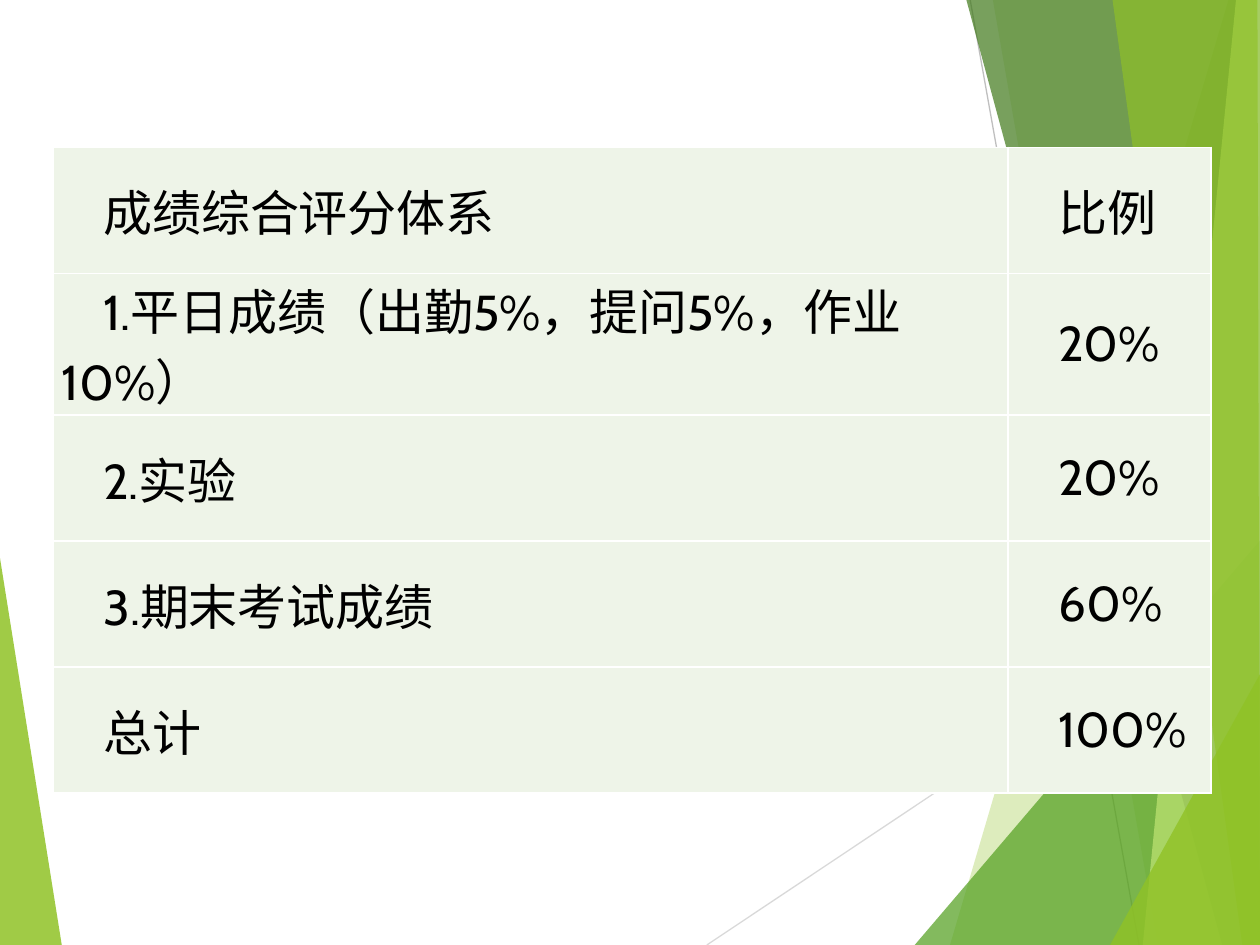
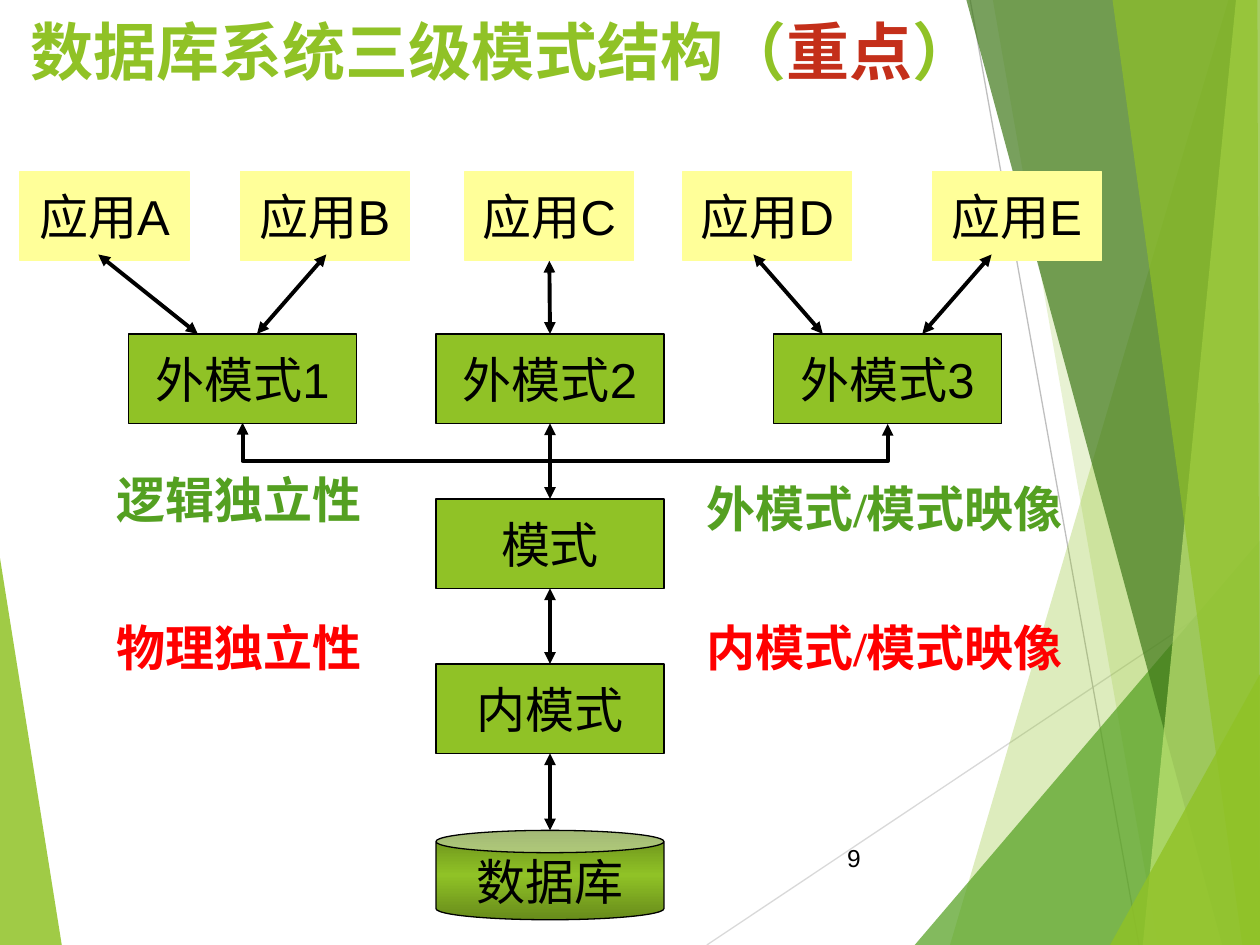
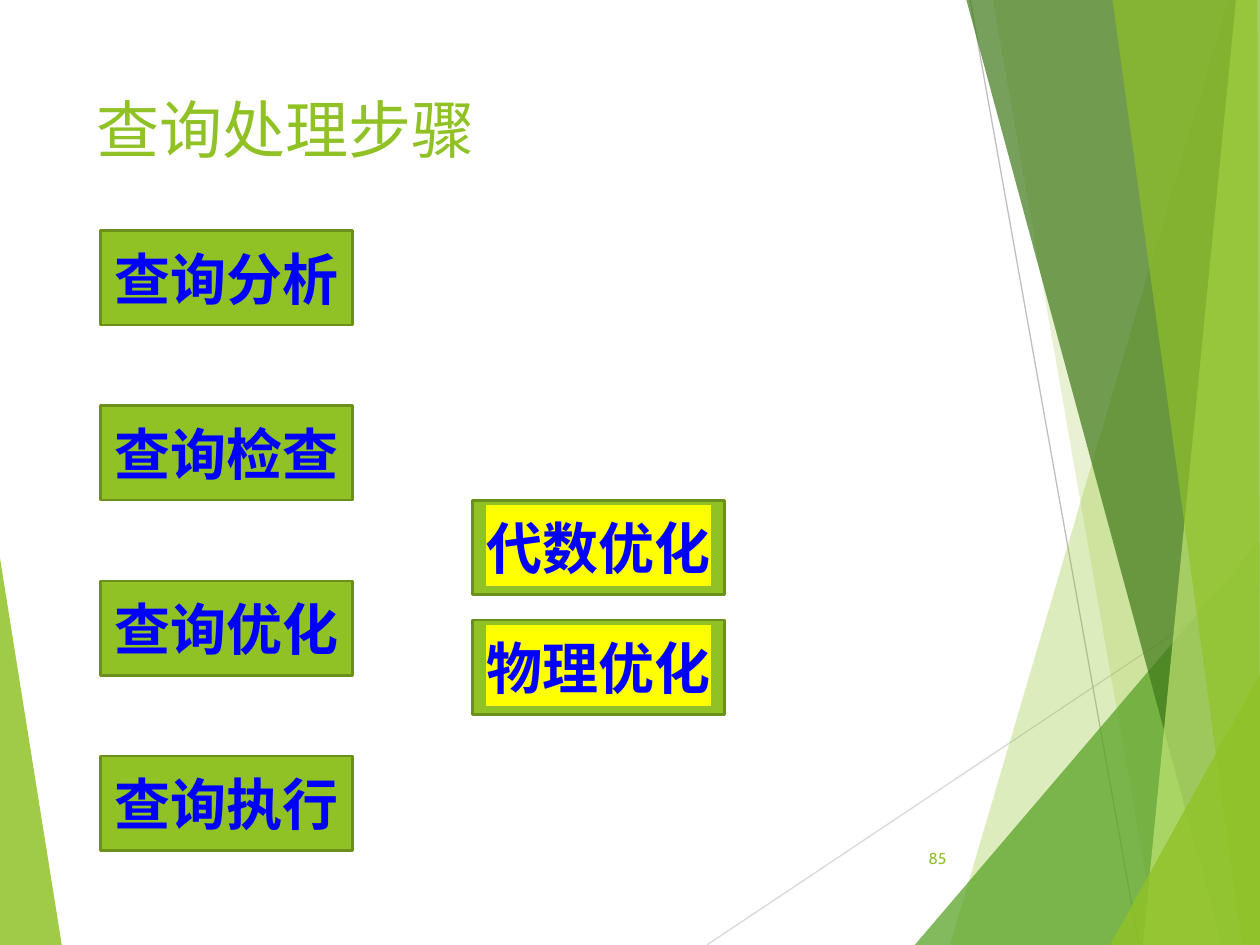
from copy import deepcopy
from lxml.etree import SubElement
from pptx import Presentation
from pptx.dml.color import RGBColor
from pptx.enum.shapes import MSO_CONNECTOR, MSO_SHAPE
from pptx.enum.text import MSO_ANCHOR, PP_ALIGN
from pptx.oxml import parse_xml
from pptx.oxml.ns import nsdecls, qn
from pptx.util import Inches, Pt

# Shared look
HEX = {
    "green": "90C226", "leaf": "54A021", "pine": "3F7819", "lime": "C0E474",
    "moss": "678B1B", "edge": "6B901C", "cell": "EEF4E8", "pale": "FFFF99",
    "mark": "FFFF00", "rust": "C42F1A", "red": "FF0000", "blue": "0000FF",
    "black": "000000", "white": "FFFFFF", "gray": "BFBFBF", "mist": "D9D9D9",
}
RAYS = [((5.61, 7.5), (10, 4.57), "mist"), ((7.7, 0), (9.04, 7.5), "gray")]
LEFT = ("green", 85, [(0, 4.43), (0.49, 7.5), (0, 7.5)])
BANDS = [  # colour, opacity in percent, outline
    ("green", 30, [(9.75, 0), (7.54, 7.5), (10, 7.5), (10, 0)]),
    ("green", 20, [(7.88, 0), (9.19, 7.5), (10, 7.5), (10, 0)]),
    ("leaf", 72, [(7.26, 7.5), (10, 4.29), (10, 7.5)]),
    ("pine", 70, [(7.67, 0), (9.7, 7.5), (10, 7.5), (10, 0)]),
    ("lime", 70, [(9.81, 0), (9.07, 7.5), (10, 7.5), (10, 0)]),
    ("green", 65, [(8.83, 0), (9.86, 7.5), (10, 7.5), (9.98, 0)]),
    ("green", 80, [(8.81, 7.5), (10, 5.35), (10, 7.5)]),
]

# Slide 1: grading
GRADES = [
    ("成绩综合评分体系", "比例"),
    ("1.平日成绩（出勤5%，提问5%，作业10%）", "20%"),
    ("2.实验", "20%"),
    ("3.期末考试成绩", "60%"),
    ("总计", "100%"),
]
COLS = [7.58, 1.61]

# Slide 2: three-level schema
HEAD = [("数据库系统三级模式结构（", "green"), ("重点", "rust"), ("）", "green")]
APPS = [("应用A", 0.16), ("应用B", 1.91), ("应用C", 3.69), ("应用D", 5.42), ("应用E", 7.4)]
VIEWS = [("外模式1", 1.02), ("外模式2", 3.46), ("外模式3", 6.14)]
CORE = [("模式", 3.96), ("内模式", 5.27)]
SLANTS = [(0.78, 1.57), (2.59, 2.04), (5.98, 6.53), (7.87, 7.32)]
NOTES = [
    ("外模式/模式映像", 5.51, 3.75, 3.23, "leaf"),
    ("内模式/模式映像", 5.51, 4.85, 3.23, "red"),
    ("物理独立性", 0.83, 4.85, 2.5, "red"),
    ("逻辑独立性", 0.83, 3.68, 2.67, "leaf"),
]

# Slide 3: query steps
STEPS = ["查询分析", "查询检查", "查询优化", "查询执行"]
KINDS = ["代数优化", "物理优化"]


def rgb(name):
    return RGBColor.from_string(HEX[name])


def write(frame, text, size=28, font="Arial", color="black", bold=False,
          align=PP_ALIGN.LEFT, anchor=MSO_ANCHOR.TOP, wrap=True, mark=None):
    """Fill a frame with one paragraph; text is a string or (text, colour) pairs."""
    frame.word_wrap = wrap
    frame.vertical_anchor = anchor
    para = frame.paragraphs[0]
    para.alignment = align
    for part, tone in [(text, color)] if isinstance(text, str) else text:
        run = para.add_run()
        run.text = part
        face = run.font
        face.size, face.name, face.bold = Pt(size), font, bold
        face.color.rgb = rgb(tone)
        if mark:
            props = run._r.get_or_add_rPr()
            props.find(qn("a:solidFill")).addnext(parse_xml(
                f'<a:highlight {nsdecls("a")}><a:srgbClr val="{HEX[mark]}"/></a:highlight>'))
    return para


def label(slide, text, x, y, w, h, **look):
    box = slide.shapes.add_textbox(Inches(x), Inches(y), Inches(w), Inches(h))
    write(box.text_frame, text, **look)


def title(slide, text, x, y, w, h, **look):
    label(slide, text, x, y, w, h, size=36, font="Cabin", color="green", **look)


def number(slide, text, x, **look):
    label(slide, text, x, 6.61, 0.56, 0.4, align=PP_ALIGN.RIGHT,
          anchor=MSO_ANCHOR.MIDDLE, **look)


def block(slide, text, x, y, w, h, fill="green", line="black", width=0.75,
          kind=MSO_SHAPE.RECTANGLE, **look):
    shape = slide.shapes.add_shape(kind, Inches(x), Inches(y), Inches(w), Inches(h))
    shape.shadow.inherit = False
    shape.fill.solid()
    shape.fill.fore_color.rgb = rgb(fill)
    shape.line.color.rgb = rgb(line)
    shape.line.width = Pt(width)
    write(shape.text_frame, text, align=PP_ALIGN.CENTER, anchor=MSO_ANCHOR.MIDDLE, **look)
    return shape


def link(slide, start, end, color="black", width=2.25, heads=True,
         kind=MSO_CONNECTOR.STRAIGHT):
    line = slide.shapes.add_connector(kind, *map(Inches, start + end))
    line.line.color.rgb = rgb(color)
    line.line.width = Pt(width)
    if heads:
        for tag in ("a:headEnd", "a:tailEnd"):
            SubElement(line.line._get_or_add_ln(), qn(tag), type="triangle")
    SubElement(line._element.spPr, qn("a:effectLst"))
    return line


def band(slide, color, alpha, points):
    dots = [(Inches(x), Inches(y)) for x, y in points]
    path = slide.shapes.build_freeform(*dots[0])
    path.add_line_segments(dots[1:])
    shape = path.convert_to_shape()
    shape.shadow.inherit = False
    shape.line.fill.background()
    shape.fill.solid()
    shape.fill.fore_color.rgb = rgb(color)
    tone = shape._element.spPr.find(qn("a:solidFill"))[0]
    SubElement(tone, qn("a:alpha"), val=str(alpha * 1000))


def start(deck):
    slide = deck.slides.add_slide(deck.slide_layouts[6])
    band(slide, *LEFT)
    for head, tail, color in RAYS:
        link(slide, head, tail, color, 0.75, heads=False)
    for item in BANDS:
        band(slide, *item)
    return slide


def border(cell):
    props = cell._tc.get_or_add_tcPr()
    for spot, side in enumerate("LRTB"):
        props.insert(spot, parse_xml(
            f'<a:ln{side} {nsdecls("a")} w="12700"><a:solidFill>'
            f'<a:srgbClr val="{HEX["white"]}"/></a:solidFill></a:ln{side}>'))


def grades(deck):
    slide = start(deck)
    table = slide.shapes.add_table(len(GRADES), len(COLS), Inches(0.42), Inches(1.17),
                                   Inches(sum(COLS)), Inches(len(GRADES))).table
    table.first_row = table.horz_banding = False
    for col, width in zip(table.columns, COLS):
        col.width = Inches(width)
    for r, row in enumerate(GRADES):
        for c, text in enumerate(row):
            cell = table.cell(r, c)
            cell.fill.solid()
            cell.fill.fore_color.rgb = rgb("cell")
            cell.margin_left = cell.margin_right = Inches(0.07)
            cell.margin_top = cell.margin_bottom = 0
            cell.vertical_anchor = MSO_ANCHOR.MIDDLE
            para = write(cell.text_frame, text, font="Cabin", anchor=MSO_ANCHOR.MIDDLE)
            para._p.get_or_add_pPr().set("indent", str(Inches(0.33)))
            border(cell)


def fork(slide, left, right, y, drop):
    """Draw a U-shaped arrow that hangs below two boxes."""
    thin, span = 0.01, right - left
    x, top = (left + right - thin) / 2, y - span / 2
    line = link(slide, (x, top), (x + thin, top + span), kind=MSO_CONNECTOR.ELBOW)
    form = line._element.spPr.find(qn("a:xfrm"))
    form.set("rot", str(270 * 60000))
    form.set("flipH", "1")
    guides = line._element.spPr.find(qn("a:prstGeom")).get_or_add_avLst()
    SubElement(guides, qn("a:gd"), name="adj1", fmla=f"val {round(drop / thin * 100000)}")


def shade(shape):
    shape.fill.gradient()
    shape.fill.gradient_angle = 90
    stops = shape.fill.gradient_stops
    for stop in stops:
        stop.color.rgb = rgb("moss")
    first = stops[0]._gs
    first.addnext(deepcopy(first))
    middle = shape.fill.gradient_stops[1]
    middle.position = 0.5
    middle.color.rgb = rgb("green")


def schema(deck):
    slide = start(deck)
    title(slide, HEAD, 0.14, 0.05, 8.78, 1.25, bold=True)
    number(slide, "9", 6.37, size=14)

    # Boxes, level by level
    wide, high, mid = 1.81, 0.71, 3.46
    apps = [block(slide, text, x, 1.36, 1.34, high, "pale", "pale", wrap=False)
            for text, x in APPS]
    views = [block(slide, text, x, 2.65, wide, high, wrap=False) for text, x in VIEWS]
    core = [block(slide, text, mid, y, wide, high, wrap=False) for text, y in CORE]
    store = block(slide, "数据库", mid, 6.59, wide, high, kind=MSO_SHAPE.CAN, wrap=False)
    shade(store)

    # Arrows
    for top, low in SLANTS:
        link(slide, (top, 2.02), (low, 2.65))
    axis = mid + wide / 2
    chain = [apps[2], views[1], *core]
    for upper, lower in zip(chain, chain[1:]):
        line = link(slide, (axis, 2), (axis, 3))
        line.begin_connect(upper, 2)
        line.end_connect(lower, 0)
    link(slide, (axis, 5.98), (axis, 6.59)).begin_connect(core[-1], 2)
    fork(slide, VIEWS[0][1] + wide / 2, VIEWS[2][1] + wide / 2, 3.36, 0.31)

    for text, x, y, w, color in NOTES:
        label(slide, text, x, y, w, 0.57, font="Times New Roman", color=color, bold=True)


def query(deck):
    slide = start(deck)
    title(slide, "查询处理步骤", 0.67, 0.67, 6.94, 1.44)
    number(slide, "85", 7.05, size=9, font="Cabin", color="green")
    # Each column: texts, left, top, pitch, highlight
    for texts, x, y, step, mark in [(STEPS, 0.8, 1.83, 1.39, None),
                                    (KINDS, 3.75, 3.97, 0.95, "mark")]:
        for i, text in enumerate(texts):
            block(slide, text, x, y + i * step, 2, 0.75, line="edge", width=1.5,
                  size=32, font="Cabin", color="blue", bold=True, mark=mark)


def main():
    deck = Presentation()
    deck.slide_width, deck.slide_height = Inches(10), Inches(7.5)
    for build in (grades, schema, query):
        build(deck)
    deck.save("out.pptx")


if __name__ == "__main__":
    main()
